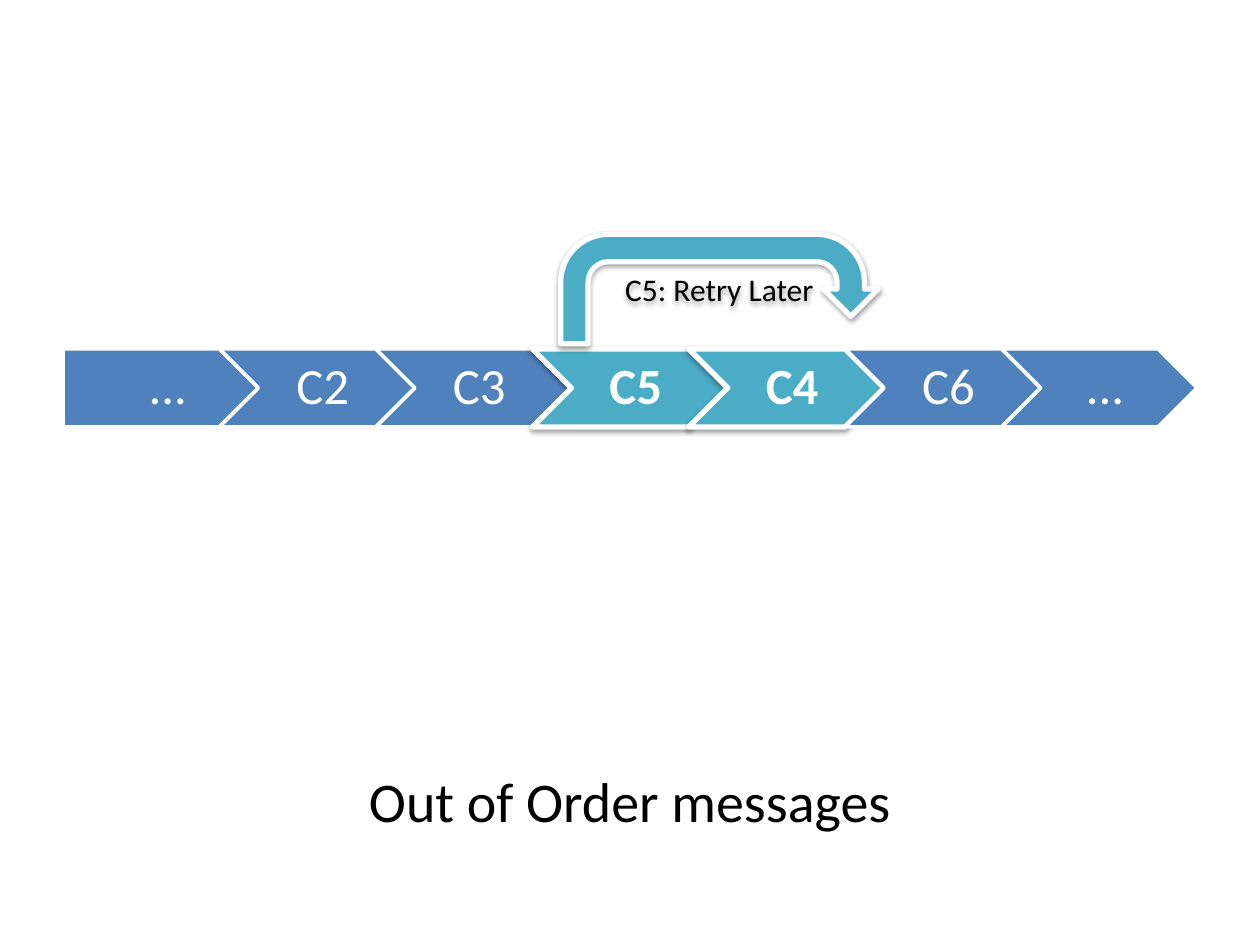
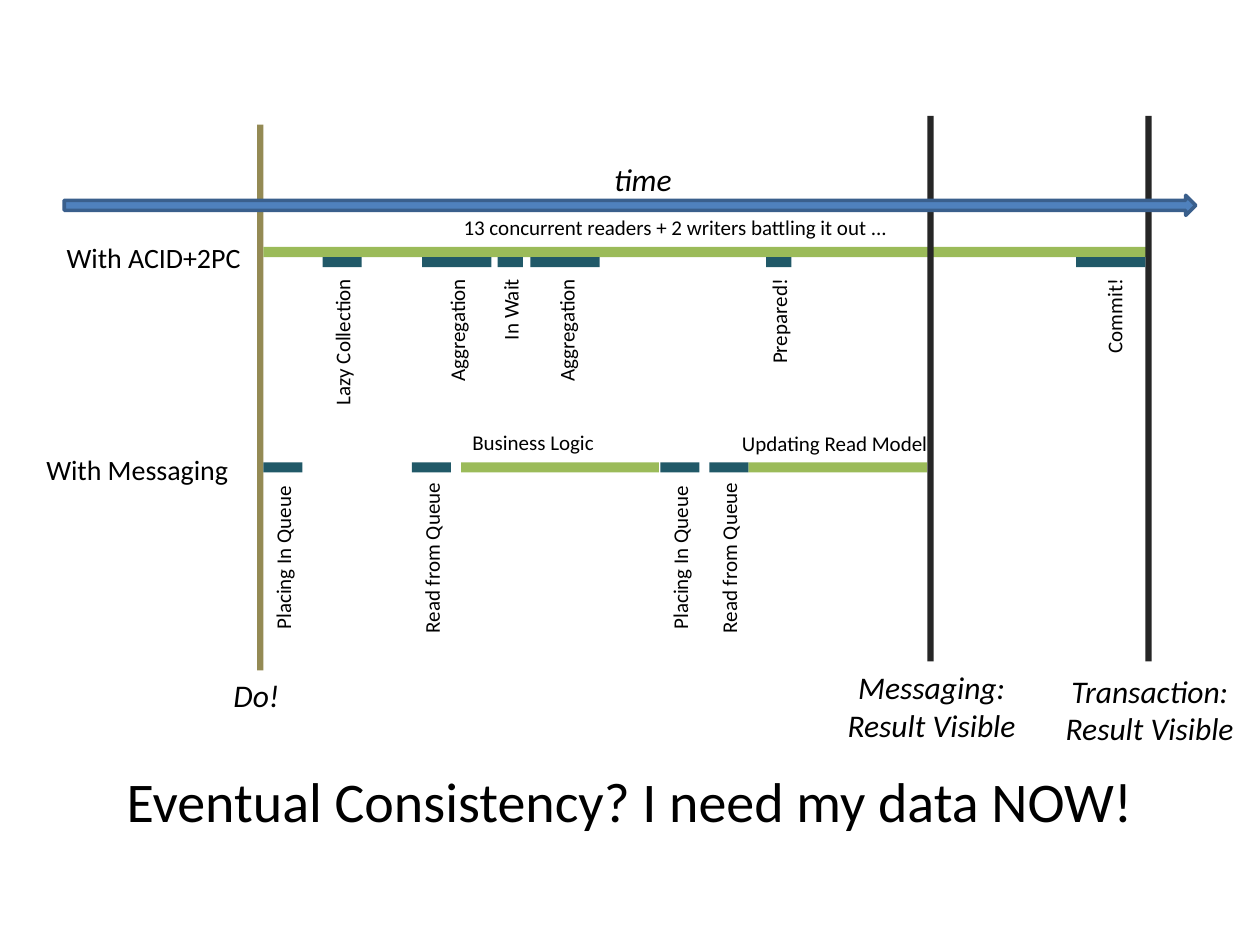
from pptx import Presentation
from pptx.dml.color import RGBColor
from pptx.enum.shapes import MSO_SHAPE as Shape
from pptx.enum.text import MSO_ANCHOR as Anchor, MSO_AUTO_SIZE as Auto, PP_ALIGN as Align
from pptx.oxml import parse_xml
from pptx.oxml.ns import nsdecls, qn
from pptx.util import Pt

# Shared look
FONT = "Calibri"
BLACK, WHITE, BLUE, NAVY, AQUA = "000000", "FFFFFF", "4F81BD", "3A5F8C", "4BACC6"
GREEN, TEAL, SAND, DARK = "9BBB59", "215968", "948A54", "262626"
LEFT, MID, RIGHT = Align.LEFT, Align.CENTER, Align.RIGHT

# Slide 1: message chain, with the swapped messages marked
CHAIN_TITLE = "Out of Order messages"
CHAIN = ["...", "C2", "C3", "C5", "C4", "C6", "..."]
SWAPPED = {"C5", "C4"}
RETRY = "C5: Retry Later"
LINK_W, LINK_H, LINK_X, LINK_Y, PITCH = 111.6, 44.6, 36, 199.4, 89.4

# Slide 2: timeline
TIME_TITLE = "Eventual Consistency? I need my data NOW!"
BAR_H, ACID_Y, QUEUE_Y = 5.8, 141.1, 264.2
STEP_Y, NOTE_TOP, NOTE_MID, NOTE_H = ACID_Y + BAR_H, 152.4, 318.2, 21.6
MARK_W, MARK_H = 3.6, 311.8
START = (146.9, 71.3, SAND)
ENDS = [(529.9, 66.2, DARK), (654.5, 66.2, DARK)]
WORK = [(150.5, ACID_Y, 504.7), (427.7, QUEUE_Y, 102.2), (263.5, QUEUE_Y, 113)]
SHORT = 64  # label span wide enough to wrap inside
# left, width, label, label span, label shift
ACID = [
    (184.3, 22.3, "Lazy Collection", 87.8, 0),
    (241.2, 39.6, "Aggregation", 74.2, 0),
    (284.4, 14.4, "In Wait", SHORT, 0),
    (303.1, 39.6, "Aggregation", 74.2, 0.7),
    (437.8, 14.4, "Prepared!", SHORT, 0),
    (614.9, 39.6, "Commit!", SHORT, 2),
]
QUEUE_W = 22.3
QUEUE = [
    (150.5, "Placing In Queue", 97.2),
    (235.4, "Read from Queue", 101.5),
    (377.3, "Placing In Queue", 97.2),
    (405.4, "Read from Queue", 101.5),
]
# text, box, size, alignment, italic
NOTES = [
    ("time", (342.7, 87.8, 48.2, 28.8), 18, RIGHT, True),
    ("Do!", (126, 383, 41, 28.8), 18, MID, True),
    ("Messaging:\nResult Visible", (476.6, 378, 111.6, 51.1), 18, MID, True),
    ("Transaction:\nResult Visible", (601.2, 380.2, 111.6, 51.1), 18, MID, True),
    ("With ACID+2PC", (31, 133.9, 115.2, 26.6), 16, LEFT, False),
    ("With Messaging", (19.4, 254.9, 119.5, 26.6), 16, LEFT, False),
    ("13 concurrent readers + 2 writers battling it out ...",
     (257.8, 118.8, 259.2, NOTE_H), 12, LEFT, False),
    ("Business Logic", (262.8, 241.9, 85, NOTE_H), 12, LEFT, False),
    ("Updating Read Model", (416.9, 242.6, 121.7, NOTE_H), 12, LEFT, False),
]


def color(code):
    return RGBColor.from_string(code)


def write(frame, text, size, tint=BLACK, align=MID, bold=False, slant=False):
    para = frame.paragraphs[0]
    para.alignment = align
    for i, line in enumerate(text.split("\n")):
        if i:
            para.add_line_break()
        run = para.add_run()
        run.text = line
        font = run.font
        font.name, font.size, font.bold, font.italic = FONT, Pt(size), bold, slant
        font.color.rgb = color(tint)
    return para


def draw(slide, kind, box, fill, line=None, width=0, shade=False):
    shape = slide.shapes.add_shape(kind, *map(Pt, box))
    shape.shadow.inherit = False
    shape.fill.solid()
    shape.fill.fore_color.rgb = color(fill)
    if line:
        shape.line.color.rgb = color(line)
        shape.line.width = Pt(width)
    else:
        shape.line.fill.background()
    if shade:
        shape.element.spPr.find(qn("a:effectLst")).append(parse_xml(
            f'<a:outerShdw {nsdecls("a")} blurRad="40000" dist="20000" dir="5400000" '
            'rotWithShape="0"><a:srgbClr val="000000"><a:alpha val="38000"/>'
            '</a:srgbClr></a:outerShdw>'))
    return shape


def note(slide, text, box, size, align=LEFT, slant=False, wrap=False):
    shape = slide.shapes.add_textbox(*map(Pt, box))
    frame = shape.text_frame
    frame.word_wrap = wrap
    frame.auto_size = Auto.SHAPE_TO_FIT_TEXT
    write(frame, text, size, align=align, slant=slant)
    return shape


def upright(slide, text, x, y, span, align, wrap=False):
    """Label read bottom to top, centred on x and y."""
    box = (x - span / 2, y - NOTE_H / 2, span, NOTE_H)
    note(slide, text, box, 12, align, wrap=wrap).rotation = 270


def start(deck, title):
    slide = deck.slides.add_slide(deck.slide_layouts[1])
    head = slide.shapes.title.element
    head.getparent().remove(head)
    body = slide.placeholders[1]
    body.left, body.top, body.width, body.height = map(Pt, (36, 434.2, 648, 48.2))
    para = write(body.text_frame, title, 32)
    para.space_before = Pt(0)
    props = para._p.get_or_add_pPr()
    props.set("marL", "0")
    props.set("indent", "0")
    props.append(parse_xml(f'<a:buNone {nsdecls("a")}/>'))
    return slide


def chain(deck):
    slide = start(deck, CHAIN_TITLE)
    for i, name in enumerate(CHAIN):
        hot = name in SWAPPED
        box = (LINK_X + i * PITCH, LINK_Y, LINK_W, LINK_H)
        link = draw(slide, Shape.CHEVRON if i else Shape.PENTAGON, box,
                    AQUA if hot else BLUE, WHITE, 3 if hot else 2, hot)
        frame = link.text_frame
        frame.vertical_anchor = Anchor.MIDDLE
        frame.margin_left, frame.margin_right = Pt(9.4 if i else 22.3), Pt(2.9)
        frame.margin_top = frame.margin_bottom = Pt(5.8)
        write(frame, name, 29, WHITE, bold=hot).line_spacing = 0.9
    # Retry loop
    loop = draw(slide, Shape.U_TURN_ARROW, (320.4, 133.9, 181.4, 62.6),
                AQUA, WHITE, 3, True)
    loop.text_frame.vertical_anchor = Anchor.MIDDLE
    write(loop.text_frame, RETRY, 18)


def timeline(deck):
    slide = start(deck, TIME_TITLE)

    def bar(x, y, width, fill, height=BAR_H):
        draw(slide, Shape.RECTANGLE, (x, y, width, height), fill)

    def mark(x, y, fill):
        bar(x, y, MARK_W, fill, MARK_H)

    # Start line, work spans, end lines
    mark(*START)
    for x, y, width in WORK:
        bar(x, y, width, GREEN)
    for end in ENDS:
        mark(*end)
    for item in NOTES:
        note(slide, *item)
    # Steps under each span
    for x, width, text, span, shift in ACID:
        bar(x, STEP_Y, width, TEAL)
        upright(slide, text, x + width / 2 + shift, NOTE_TOP + span / 2,
                span, RIGHT, span == SHORT)
    for x, text, span in QUEUE:
        bar(x, QUEUE_Y, QUEUE_W, TEAL)
        upright(slide, text, x + QUEUE_W / 2, NOTE_MID, span, LEFT)
    # Time axis
    draw(slide, Shape.RIGHT_ARROW, (36.7, 111.6, 646.6, 11.5), BLUE, NAVY, 2)


def main():
    deck = Presentation()
    deck.slide_width, deck.slide_height = Pt(720), Pt(540)
    chain(deck)
    timeline(deck)
    deck.save("out.pptx")


if __name__ == "__main__":
    main()
